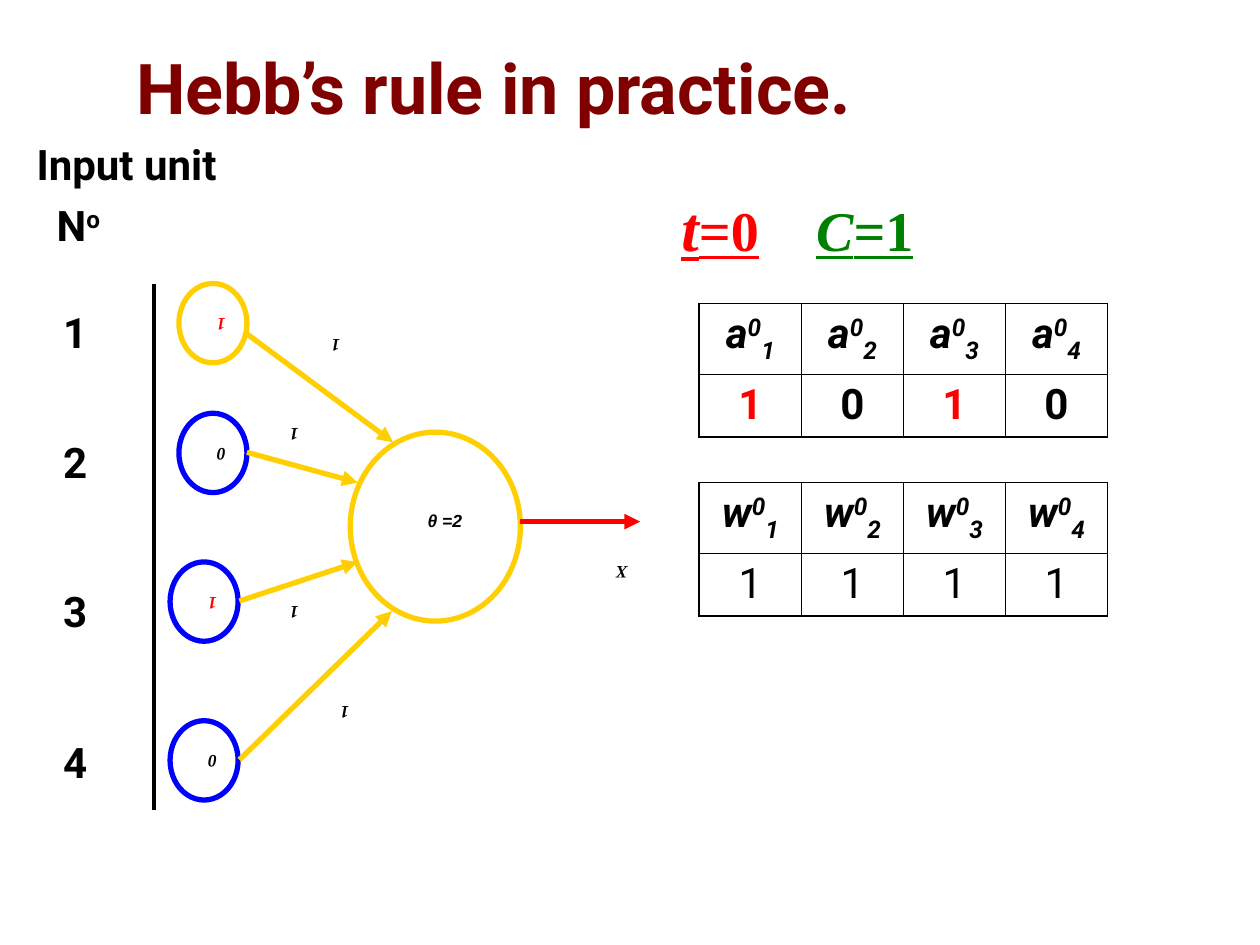
from lxml import etree
from pptx import Presentation
from pptx.dml.color import RGBColor
from pptx.enum.shapes import MSO_CONNECTOR, MSO_SHAPE
from pptx.enum.text import MSO_ANCHOR, MSO_AUTO_SIZE, PP_ALIGN
from pptx.oxml.ns import qn
from pptx.util import Inches, Pt

STRAIGHT, ELLIPSE = MSO_CONNECTOR.STRAIGHT, MSO_SHAPE.OVAL
TOP, MIDDLE, BOTTOM = MSO_ANCHOR.TOP, MSO_ANCHOR.MIDDLE, MSO_ANCHOR.BOTTOM
LEFT, CENTER = PP_ALIGN.LEFT, PP_ALIGN.CENTER
NO_AUTOFIT = MSO_AUTO_SIZE.NONE

THEME = {
    "black": "000000", "white": "FFFFFF", "maroon": "800000", "red": "FF0000",
    "green": "008000", "blue": "0000FF", "gold": "FFCF01",
    "sans": "Roboto", "serif": "Times New Roman", "label": "Arial",
    "title": 40, "step": 36, "class": 32, "body": 24, "small": 10,
    "outline": 3, "axis": 2.25, "outer": 1.08, "inner": 0.45,
}

# Content
TITLE = "Hebb’s rule in practice."
# text, superscript, left margin in inches, space before in points
INPUT_LIST = [
    ("Input unit", "", 0.07, 0),
    ("N", "o", 0.23, 6),
    ("1", "", 0.28, 32.5),
    ("2", "", 0.28, 45),
    ("3", "", 0.28, 56.5),
    ("4", "", 0.28, 57.5),
]
# left, top, outline, activation, activation colour
INPUT_UNITS = [
    (1.42, 2.25, "gold", "1", "red"),
    (1.42, 3.28, "blue", "0", "black"),
    (1.35, 4.46, "blue", "1", "red"),
    (1.35, 5.72, "blue", "0", "black"),
]
UNIT_SIZE = (0.54, 0.63)
NEURON = (2.78, 3.43, 1.35, 1.5)
THRESHOLD = "θ =2"
# start, end, colour, label, label centre
ARROWS = [
    ((1.96, 2.65), (3.12, 3.51), "gold", "1", (2.6, 2.75)),
    ((1.96, 3.59), (2.84, 3.83), "gold", "1", (2.27, 3.46)),
    ((1.9, 4.77), (2.84, 4.46), "gold", "1", (2.27, 4.87)),
    ((1.9, 6.03), (3.11, 4.85), "gold", "1", (2.67, 5.66)),
    ((4.13, 4.14), (5.08, 4.14), "red", "X", (4.88, 4.55)),
]
AXIS = ((1.22, 2.25), (1.22, 6.43))
# symbol, top, values, value colours, bold values
TABLES = [
    ("a", 2.41, "1010", ("red", "black", "red", "black"), True),
    ("w", 3.83, "1111", ("black",) * 4, False),
]
TABLE_LEFT, COLUMN_WIDTH, ROW_HEIGHTS = 5.55, 0.81, (0.56, 0.5)
# text, size, colour, italic, underline
STEP = [
    ("t", "step", "red", True, True),
    ("=0", "class", "red", False, True),
    ("\t", "class", "red", False, False),
    ("C", "class", "green", True, True),
    ("=1", "class", "green", False, True),
]


def rgb(name):
    return RGBColor.from_string(THEME[name])


def add_run(paragraph, text, size, font="sans", color="black", bold=True,
            italic=False, underline=False, baseline=0):
    run = paragraph.add_run()
    run.text = text
    run.font.size, run.font.name = Pt(THEME[size]), THEME[font]
    run.font.bold, run.font.italic, run.font.underline = bold, italic, underline
    run.font.color.rgb = rgb(color)
    if baseline:
        run._r.get_or_add_rPr().set("baseline", str(baseline * 1000))


def place(shape, left, top, width, height):
    shape.left, shape.top = Inches(left), Inches(top)
    shape.width, shape.height = Inches(width), Inches(height)


def add_ellipse(left, top, width, height, color):
    ellipse = slide.shapes.add_shape(
        ELLIPSE, Inches(left), Inches(top), Inches(width), Inches(height))
    ellipse.shadow.inherit = False
    ellipse.fill.background()
    ellipse.line.color.rgb = rgb(color)
    ellipse.line.width = Pt(THEME["outline"])


def add_line(start, end, color, width, arrow=False):
    line = slide.shapes.add_connector(
        STRAIGHT, *(Inches(value) for value in (*start, *end)))
    line.line.color.rgb = rgb(color)
    line.line.width = Pt(THEME[width])
    if arrow:
        etree.SubElement(line.line._get_or_add_ln(), qn("a:tailEnd"), type="triangle")
    etree.SubElement(line._element.spPr, qn("a:effectLst"))


def add_label(text, center, font="serif", color="black", turned=True):
    width, height = (0.2, 0.2) if turned else (0.55, 0.2)
    box = slide.shapes.add_textbox(
        Inches(center[0] - width / 2), Inches(center[1] - height / 2),
        Inches(width), Inches(height))
    frame = box.text_frame
    frame.margin_left = frame.margin_right = 0
    frame.margin_top = frame.margin_bottom = 0
    frame.word_wrap, frame.vertical_anchor = False, MIDDLE
    if turned:
        box.rotation = 90
        frame._txBody.bodyPr.set("vert", "eaVert")
    paragraph = frame.paragraphs[0]
    paragraph.alignment = CENTER
    add_run(paragraph, text, "small", font, color, italic=True)


def set_borders(cell, outer_sides):
    properties = cell._tc.get_or_add_tcPr()
    for side in "LRTB":
        weight = THEME["outer" if side in outer_sides else "inner"]
        border = etree.SubElement(properties, qn(f"a:ln{side}"), w=str(int(Pt(weight))))
        fill = etree.SubElement(border, qn("a:solidFill"))
        etree.SubElement(fill, qn("a:srgbClr"), val=THEME["black"])


def add_value_table(symbol, top, values, colors, bold):
    count = len(values)
    table = slide.shapes.add_table(
        2, count, Inches(TABLE_LEFT), Inches(top),
        Inches(COLUMN_WIDTH * count), Inches(sum(ROW_HEIGHTS))).table
    table.first_row = table.horz_banding = False
    for row, height in zip(table.rows, ROW_HEIGHTS):
        row.height = Inches(height)
    for column, (value, color) in enumerate(zip(values, colors)):
        table.columns[column].width = Inches(COLUMN_WIDTH)
        edge = {0: "L", count - 1: "R"}.get(column, "")
        for row, side in enumerate("TB"):
            cell = table.cell(row, column)
            set_borders(cell, side + edge)
            cell.fill.background()
            cell.text_frame.paragraphs[0].alignment = CENTER
        heading, number = (table.cell(row, column).text_frame.paragraphs[0]
                           for row in range(2))
        for text, baseline in ((symbol, 0), ("0", 30), (str(column + 1), -25)):
            add_run(heading, text, "body", italic=True, baseline=baseline)
        add_run(number, value, "body", color=color, bold=bold)


prs = Presentation()
prs.slide_width, prs.slide_height = Inches(10), Inches(7.5)
slide = prs.slides.add_slide(prs.slide_layouts[1])
title, body = slide.placeholders

# Title
place(title, 0.98, 0.28, 8.5, 0.79)
title.text_frame.vertical_anchor = BOTTOM
title.text_frame.auto_size = NO_AUTOFIT
title.text_frame.paragraphs[0].alignment = LEFT
add_run(title.text_frame.paragraphs[0], TITLE, "title", color="maroon")

# Numbered input units
place(body, 0.12, 1.05, 9.88, 5.93)
body.fill.solid()
body.fill.fore_color.rgb = rgb("white")
body.text_frame.auto_size = NO_AUTOFIT
body.text_frame.vertical_anchor = TOP
for index, (text, raised, margin, space) in enumerate(INPUT_LIST):
    item = body.text_frame.paragraphs[0] if index == 0 else body.text_frame.add_paragraph()
    item_properties = item._p.get_or_add_pPr()
    item_properties.set("marL", str(Inches(margin)))
    item_properties.set("indent", "0")
    etree.SubElement(item_properties, qn("a:buNone"))
    item.space_before = Pt(space)
    add_run(item, text, "body")
    if raised:
        add_run(item, raised, "body", baseline=30)

# Network
add_line(*AXIS, "black", "axis")
for left, top, outline, activation, color in INPUT_UNITS:
    add_ellipse(left, top, *UNIT_SIZE, outline)
    unit_center = (left + UNIT_SIZE[0] / 2, top + UNIT_SIZE[1] / 2 + 0.02)
    add_label(activation, unit_center, color=color)
add_ellipse(*NEURON, "gold")
add_label(THRESHOLD, (3.53, 4.13), font="label", turned=False)
for start, end, color, weight, center in ARROWS:
    add_line(start, end, color, "outline", arrow=True)
    add_label(weight, center)

# Activation and weight tables
for value_table in TABLES:
    add_value_table(*value_table)

# Time step and learning rate
step_box = slide.shapes.add_textbox(Inches(5.31), Inches(1.45), Inches(2.84), Inches(0.7))
step_box.text_frame.word_wrap = True
step_line = step_box.text_frame.paragraphs[0]
tabs = etree.SubElement(step_line._p.get_or_add_pPr(), qn("a:tabLst"))
etree.SubElement(tabs, qn("a:tab"), pos=str(Inches(1.07)), algn="l")
for text, size, color, italic, underline in STEP:
    add_run(step_line, text, size, "serif", color, italic=italic, underline=underline)

prs.save("out.pptx")
